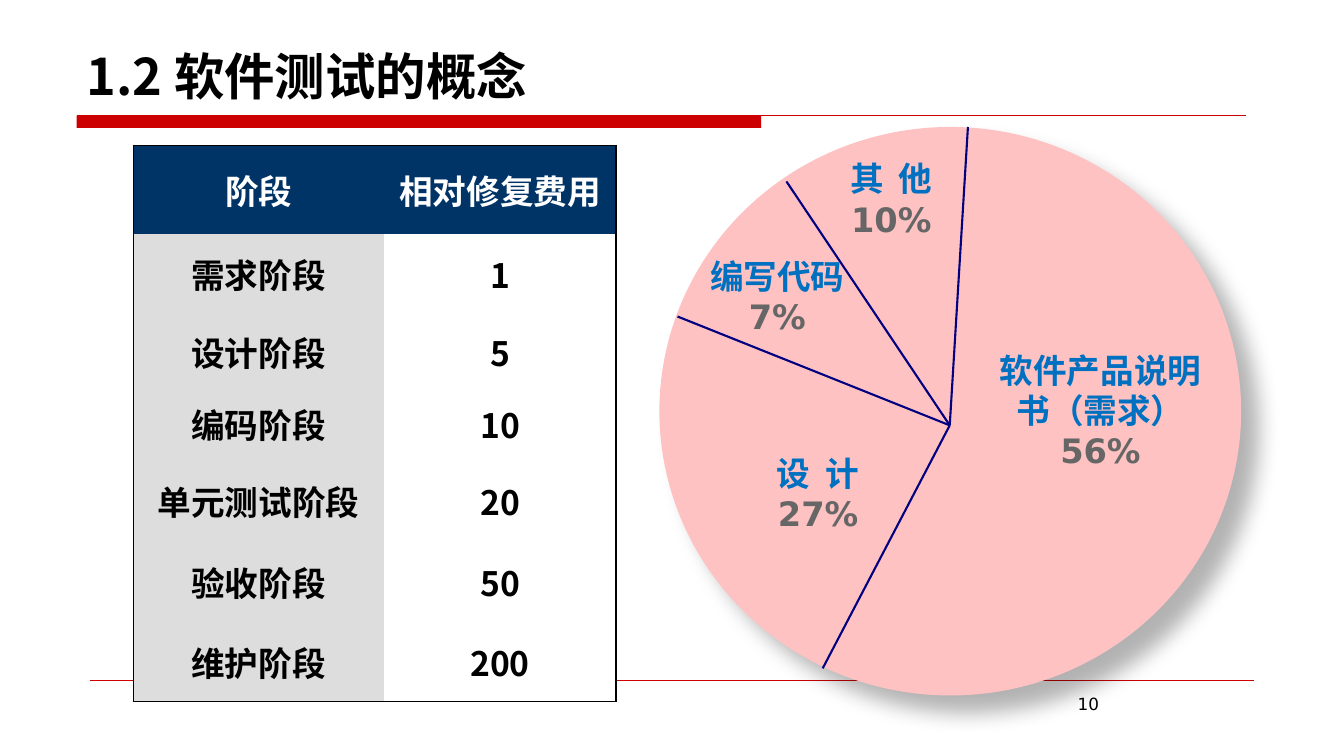
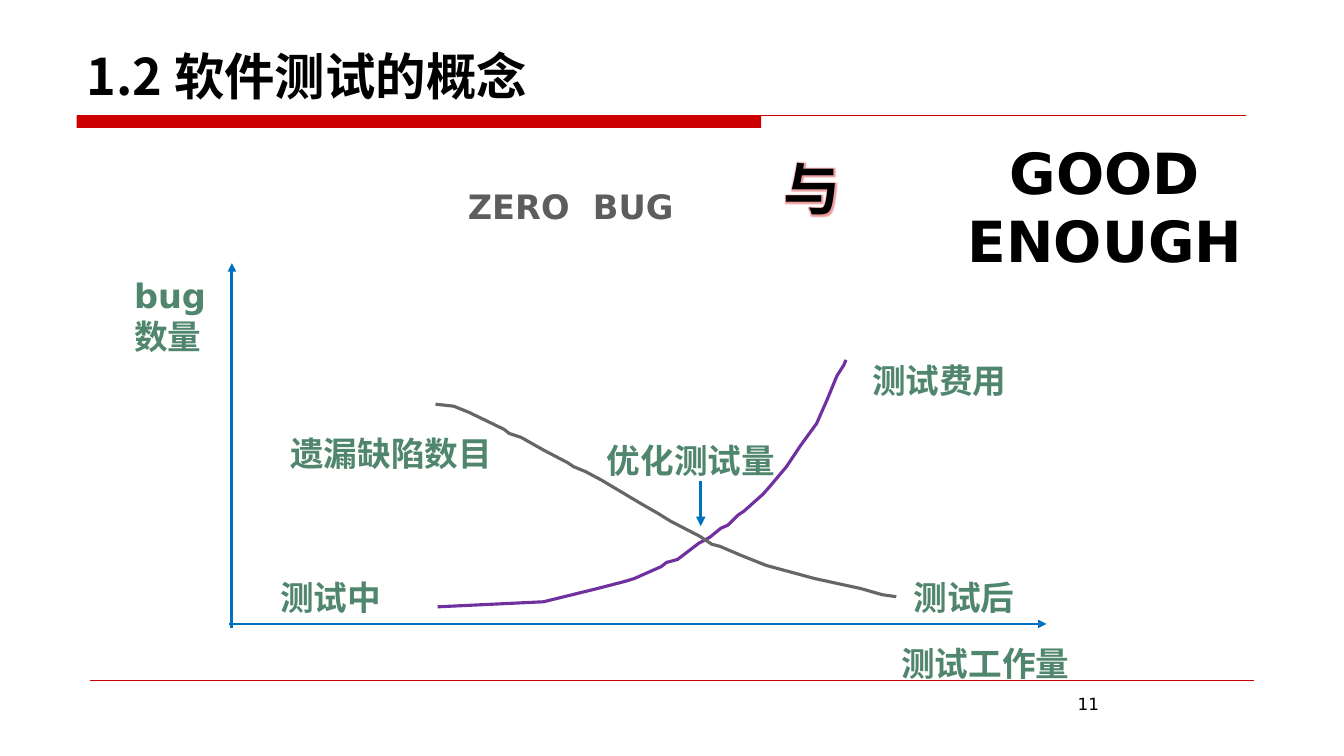
from lxml.etree import SubElement
from pptx import Presentation
from pptx.dml.color import RGBColor
from pptx.enum.shapes import MSO_CONNECTOR, MSO_SHAPE, PP_PLACEHOLDER
from pptx.enum.text import MSO_ANCHOR, PP_ALIGN
from pptx.oxml.ns import qn
from pptx.util import Inches, Pt

BLACK = RGBColor(0x00, 0x00, 0x00)
WHITE = RGBColor(0xFF, 0xFF, 0xFF)
RED = RGBColor(0xCC, 0x00, 0x00)
NAVY = RGBColor(0x00, 0x33, 0x66)
SILVER = RGBColor(0xDD, 0xDD, 0xDD)
PINK = RGBColor(0xFF, 0xC2, 0xC2)
DIVIDER = RGBColor(0x00, 0x00, 0x80)
BLUE = RGBColor(0x00, 0x70, 0xC0)
GRAY = RGBColor(0x66, 0x66, 0x66)
DARK_GRAY = RGBColor(0x5D, 0x5D, 0x5D)
PURPLE = RGBColor(0x70, 0x30, 0xA0)
GREEN = RGBColor(0x51, 0x86, 0x6E)
LATIN = "DejaVu Sans"
CJK = "Noto Sans CJK SC"


def add_text(s, box, lines, size=24, align=PP_ALIGN.CENTER, bold=True):
    tf = s.shapes.add_textbox(*map(Inches, box)).text_frame
    tf.word_wrap = True
    tf.margin_left = tf.margin_right = tf.margin_top = tf.margin_bottom = 0
    for i, (text, color) in enumerate(lines):
        p = tf.add_paragraph() if i else tf.paragraphs[0]
        p.text = text
        p.alignment = align
        p.font.name = LATIN
        p.font.size = Pt(size)
        p.font.bold = bold
        p.font.color.rgb = color
    return tf


def add_line(s, start, end, color, width, arrow=False):
    line = s.shapes.add_connector(MSO_CONNECTOR.STRAIGHT, *map(Inches, start + end))
    line.line.color.rgb = color
    line.line.width = Pt(width)
    spPr = line.element.spPr
    if arrow:
        SubElement(spPr.find(qn("a:ln")), qn("a:tailEnd"), type="triangle")
    SubElement(spPr, qn("a:effectLst"))
    return line


prs = Presentation()
prs.slide_width = Inches(13.33)
prs.slide_height = Inches(7.5)
for root in (prs.element, prs.slide_master.element):
    for ea in root.iter(qn("a:ea")):
        ea.set("typeface", CJK)

layout = prs.slide_layouts[5]
for ph in list(layout.placeholders):
    if ph.placeholder_format.type == PP_PLACEHOLDER.TITLE:
        ph.left, ph.top, ph.width, ph.height = map(Inches, (0.76, 0.13, 11.67, 0.97))
        ph.text_frame.vertical_anchor = MSO_ANCHOR.BOTTOM
    else:
        layout.shapes.element.remove(ph.element)

slides = []
for number in (10, 11):
    s = prs.slides.add_slide(layout)
    tf = s.shapes.title.text_frame
    tf.text = "1.2 软件测试的概念"
    tf.vertical_anchor = MSO_ANCHOR.BOTTOM
    p = tf.paragraphs[0]
    p.alignment = PP_ALIGN.LEFT
    p.font.name = CJK
    p.font.size = Pt(36)
    p.font.bold = True
    p.font.color.rgb = BLACK
    slides.append(s)
cost_slide, effort_slide = slides

band = cost_slide.shapes.add_shape(
    MSO_SHAPE.RECTANGLE, Inches(0.76), Inches(1.15), Inches(6.79), Inches(0.12))
band.shadow.inherit = False
band.fill.solid()
band.fill.fore_color.rgb = RED
band.line.fill.background()
title_rule = add_line(cost_slide, (0.76, 1.15), (12.36, 1.15), RED, 0.75)
footer_rule = add_line(cost_slide, (0.89, 6.75), (12.44, 6.75), RED, 0.25)
for sp in (band, title_rule, footer_rule):
    layout.shapes.element.append(sp.element)

for number, s in enumerate(slides, 10):
    add_text(s, (8.83, 6.88, 2.07, 0.42), [(str(number), BLACK)], 12, PP_ALIGN.RIGHT, False)

s = cost_slide
rows = [
    ("阶段", "相对修复费用"),
    ("需求阶段", "1"),
    ("设计阶段", "5"),
    ("编码阶段", "10"),
    ("单元测试阶段", "20"),
    ("验收阶段", "50"),
    ("维护阶段", "200"),
]
table = s.shapes.add_table(
    len(rows), 2, Inches(1.32), Inches(1.44), Inches(4.79), Inches(5.52)).table
table._tbl.tblPr.find(qn("a:tableStyleId")).text = "{2D5ABB26-0587-4C30-8999-92F81FD0307C}"
for column, width in zip(table.columns, (2.49, 2.3)):
    column.width = Inches(width)
for row, height in zip(table.rows, (0.88, 0.8, 0.74, 0.7, 0.81, 0.8, 0.79)):
    row.height = Inches(height)
for i, row in enumerate(rows):
    for j, text in enumerate(row):
        cell = table.cell(i, j)
        cell.margin_left = cell.margin_right = Inches(0.07)
        cell.margin_top = cell.margin_bottom = Inches(0.04)
        cell.vertical_anchor = MSO_ANCHOR.MIDDLE
        tcPr = cell._tc.get_or_add_tcPr()
        edges = (("a:lnL", j == 0), ("a:lnR", j == 1),
                 ("a:lnT", i == 0), ("a:lnB", i == len(rows) - 1))
        for tag, outer in edges:
            if outer:
                ln = SubElement(tcPr, qn(tag), w=str(Pt(1)))
                SubElement(SubElement(ln, qn("a:solidFill")), qn("a:srgbClr"), val=str(BLACK))
        cell.fill.solid()
        cell.fill.fore_color.rgb = NAVY if i == 0 else (SILVER, WHITE)[j]
        p = cell.text_frame.paragraphs[0]
        p.text = text
        p.alignment = PP_ALIGN.CENTER
        p.font.name = CJK
        p.font.size = Pt(24)
        p.font.bold = True
        p.font.color.rgb = WHITE if i == 0 else BLACK

pie = s.shapes.add_shape(
    MSO_SHAPE.OVAL, Inches(6.54), Inches(1.26), Inches(5.77), Inches(5.64))
pie.shadow.inherit = False
pie.fill.solid()
pie.fill.fore_color.rgb = PINK
pie.line.fill.background()
shadow = SubElement(
    pie.element.spPr.find(qn("a:effectLst")), qn("a:outerShdw"),
    blurRad=str(Pt(15)), dist=str(Pt(18)), dir=str(45 * 60000), algn="tl", rotWithShape="0")
shadow_color = SubElement(shadow, qn("a:srgbClr"), val=str(BLACK))
SubElement(shadow_color, qn("a:alpha"), val="30000")

for rim in ((9.6, 1.26), (8.16, 6.63), (6.72, 3.14), (7.8, 1.8)):
    add_line(s, (9.42, 4.22), rim, DIVIDER, 1.5)
for box, name, share in (
    ((8.39, 1.57, 0.9, 0.8), "其  他", "10%"),
    ((9.78, 3.47, 2.27, 1.2), "软件产品说明书（需求）", "56%"),
    ((6.9, 2.54, 1.62, 0.8), "编写代码", "7%"),
    ((7.44, 4.49, 1.35, 0.8), "设  计", "27%"),
):
    add_text(s, box, [(name, BLUE), (share, GRAY)])

s = effort_slide
add_text(s, (8.76, 1.37, 4.4, 1.36), [("GOOD", BLACK), ("ENOUGH", BLACK)], 40.5)
add_text(s, (4.18, 1.84, 2.96, 0.4), [("ZERO  BUG", DARK_GRAY)])
tf = add_text(s, (7.54, 1.53, 1.03, 0.68), [("与", BLACK)], 40.5)
rPr = tf.paragraphs[0].runs[0]._r.get_or_add_rPr()
glow = SubElement(SubElement(rPr, qn("a:effectLst")), qn("a:glow"), rad=str(Pt(4)))
glow_color = SubElement(glow, qn("a:srgbClr"), val=str(RED))
SubElement(glow_color, qn("a:alpha"), val="40000")

add_line(s, (2.3, 6.23), (2.3, 2.61), BLUE, 2, True)
add_line(s, (2.27, 6.19), (10.38, 6.19), BLUE, 2, True)

cost_curve = [
    (4.34, 6.02), (5.39, 5.97), (5.92, 5.84), (6.19, 5.77), (6.29, 5.74), (6.56, 5.62),
    (6.61, 5.58), (6.72, 5.55), (6.93, 5.39), (7.04, 5.33), (7.15, 5.24), (7.22, 5.21),
    (7.32, 5.11), (7.38, 5.07), (7.57, 4.9), (7.64, 4.82), (7.8, 4.63), (7.94, 4.42),
    (8.02, 4.31), (8.1, 4.2), (8.21, 3.95), (8.3, 3.73), (8.37, 3.62), (8.39, 3.57),
]
defect_curve = [
    (4.32, 4.01), (4.5, 4.03), (4.65, 4.09), (5, 4.26), (5.05, 4.3), (5.17, 4.34),
    (5.4, 4.47), (5.63, 4.59), (5.69, 4.63), (5.81, 4.68), (5.96, 4.76), (6.38, 5.01),
    (6.52, 5.09), (6.65, 5.17), (6.94, 5.32), (7.06, 5.4), (7.14, 5.42), (7.35, 5.51),
    (7.6, 5.61), (8.08, 5.74), (8.54, 5.84), (8.75, 5.9), (8.89, 5.92),
]
for points, color in ((cost_curve, PURPLE), (defect_curve, GRAY)):
    points = [(Inches(x), Inches(y)) for x, y in points]
    builder = s.shapes.build_freeform(*points[0])
    builder.add_line_segments(points[1:], close=False)
    curve = builder.convert_to_shape()
    curve.shadow.inherit = False
    curve.fill.background()
    curve.line.color.rgb = color
    curve.line.width = Pt(2.25)

for box, text in (
    ((1.33, 2.73, 0.9, 0.9), "bug数量"),
    ((8.94, 6.38, 2.07, 0.45), "测试工作量"),
    ((2.78, 5.72, 1.28, 0.45), "测试中"),
    ((9.06, 5.72, 1.21, 0.45), "测试后"),
    ((8.65, 3.57, 2.09, 0.45), "测试费用"),
    ((2.88, 4.29, 2.18, 0.45), "遗漏缺陷数目"),
    ((6.02, 4.36, 2.11, 0.45), "优化测试量"),
):
    add_text(s, box, [(text, GREEN)], align=PP_ALIGN.LEFT)
add_line(s, (6.95, 4.77), (6.95, 5.22), BLUE, 2.25, True)

prs.save("out.pptx")
